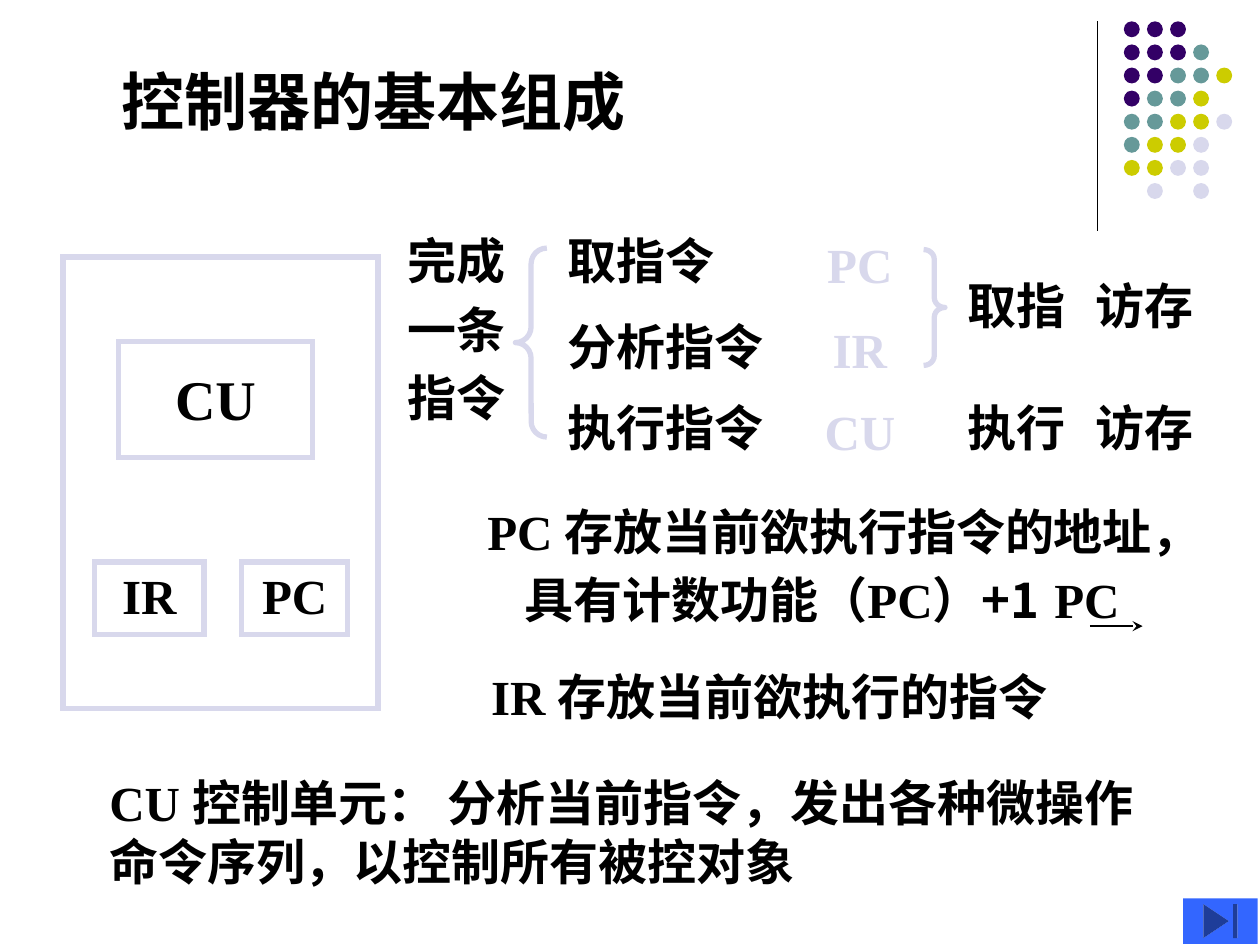
from lxml import etree
from pptx import Presentation
from pptx.dml.color import RGBColor
from pptx.enum.shapes import MSO_CONNECTOR, MSO_SHAPE as Shape
from pptx.enum.text import MSO_ANCHOR, PP_ALIGN as Align
from pptx.oxml.ns import qn
from pptx.util import Pt

COLORS = {
    "ink": "000000", "pale": "D8D8EC", "purple": "330066",
    "teal": "669999", "lime": "CCCC00", "blue": "3366FF",
}
SANS, SERIF = "Noto Sans CJK SC", "Times New Roman"


def rgb(name):
    return RGBColor.from_string(COLORS[name])


def font_for(words):
    """Abbreviations such as PC are serif, all other wording is sans."""
    return SERIF if words[0].isascii() and words[0].isalpha() else SANS


class SlideBuilder:
    size = 28
    frame_width = 3

    def __init__(self, slide):
        self.slide = slide

    def text(self, content, left, top, width, height, *, size=size, color="ink",
             align=Align.LEFT, wrap=True, inset=(7.2, 3.6), indents=(), tab=None):
        """content is a string, or a list of paragraphs made of run lists."""
        paragraphs = [[content]] if isinstance(content, str) else content
        box = self.slide.shapes.add_textbox(Pt(left), Pt(top), Pt(width), Pt(height))
        frame = box.text_frame
        frame.word_wrap = wrap
        frame.vertical_anchor = MSO_ANCHOR.TOP
        frame.margin_left = frame.margin_right = Pt(inset[0])
        frame.margin_top = frame.margin_bottom = Pt(inset[1])
        for index, runs in enumerate(paragraphs):
            paragraph = frame.paragraphs[0] if index == 0 else frame.add_paragraph()
            paragraph.alignment = align
            paragraph.line_spacing = Pt(1.2 * size)
            paragraph.space_before = Pt(0.2 * size if index else 0)
            properties = paragraph._p.get_or_add_pPr()
            if index < len(indents):
                properties.set("marL", "0")
                properties.set("indent", str(int(Pt(indents[index]))))
            if tab:
                stops = etree.SubElement(properties, qn("a:tabLst"))
                etree.SubElement(stops, qn("a:tab"), pos=str(int(Pt(tab))), algn="l")
            for words in runs:
                run = paragraph.add_run()
                run.text = words
                run.font.size = Pt(size)
                run.font.bold = True
                run.font.color.rgb = rgb(color)
                run.font.name = font_for(words)
                etree.SubElement(run._r.get_or_add_rPr(), qn("a:ea"),
                                 typeface=font_for(words))

    def shape(self, kind, left, top, width, height, *, fill=None, line=None, adjust=()):
        item = self.slide.shapes.add_shape(kind, Pt(left), Pt(top), Pt(width), Pt(height))
        item.shadow.inherit = False
        if fill:
            item.fill.solid()
            item.fill.fore_color.rgb = rgb(fill)
        else:
            item.fill.background()
        if line:
            item.line.color.rgb = rgb(line)
            item.line.width = Pt(self.frame_width)
        else:
            item.line.fill.background()
        for index, value in enumerate(adjust):
            item.adjustments[index] = value
        return item

    def frame(self, left, top, width, height):
        """An unfilled rectangle with sharp corners."""
        item = self.shape(Shape.RECTANGLE, left, top, width, height, line="pale")
        etree.SubElement(item.line._get_or_add_ln(), qn("a:miter"), lim="800000")

    def line(self, x1, y1, x2, y2, *, arrow=False):
        rule = self.slide.shapes.add_connector(
            MSO_CONNECTOR.STRAIGHT, Pt(x1), Pt(y1), Pt(x2), Pt(y2))
        rule.line.color.rgb = rgb("ink")
        rule.line.width = Pt(0.75)
        if arrow:
            etree.SubElement(rule.line._get_or_add_ln(), qn("a:tailEnd"), type="stealth")
        etree.SubElement(rule._element.spPr, qn("a:effectLst"))


def main():
    deck = Presentation()
    deck.slide_width, deck.slide_height = Pt(720), Pt(540)
    page = SlideBuilder(deck.slides.add_slide(deck.slide_layouts[6]))

    # Corner ornament: one letter per dot
    page.line(627, 12.2, 627, 131.8)
    dot_colors = {"P": "purple", "T": "teal", "Y": "lime", "L": "pale"}
    dot_rows = ["PPP", "PPPT", "PPTTY", "PTTY", "TTYYL", "TYYL", "YYLL", "-L-L"]
    for row, letters in enumerate(dot_rows):
        for column, letter in enumerate(letters):
            if letter in dot_colors:
                page.shape(Shape.OVAL, 642.2 + 13.2 * column, 12.2 + 13.2 * row,
                           9.1, 9.1, fill=dot_colors[letter])

    # Title
    page.text("控制器的基本组成", 62.6, 32.4, 465.8, 50.4, size=36)

    # Steps of one instruction, with the unit that serves each
    page.text([["完成"], ["一条"], ["指令"]], 225.4, 128.2, 71.3, 121.7,
              align=Align.CENTER)
    page.shape(Shape.LEFT_BRACE, 294.5, 141.8, 18, 108, line="pale", adjust=(0.5, 0.5))
    steps = [("取指令", "PC", 128.2), ("分析指令", "IR", 177.1), ("执行指令", "CU", 223.9)]
    for step, unit, top in steps:
        page.text(step, 317.5, top, 150, 41)
        page.text(unit, 464, top + 2.2, 54.7, 41, color="pale",
                  align=Align.CENTER, wrap=False)

    # Phases and their memory access
    page.shape(Shape.RIGHT_BRACE, 527.8, 142.6, 12.2, 66.2, line="pale",
               adjust=(0.458, 0.5))
    for phase, top in [("取指", 154.1), ("执行", 223.9)]:
        page.text(phase, 545.8, top, 101, 41)
        page.text("访存", 619.2, top, 100, 41)

    # What each unit does
    page.text([["PC ", "存放当前欲执行指令的地址，"],
               ["具有计数功能（", "PC", "）+1\t", "PC"]],
              271.4, 283, 499, 81.4, indents=(0, 21.5), tab=353)
    page.line(622.8, 357.8, 653, 357.8, arrow=True)
    page.text([["IR ", "存放当前欲执行的指令"]], 273.6, 377.3, 403.2, 41)
    page.text([["CU ", "控制单元： 分析当前指令，发出各种微操作命令序列，以控制所有被控对象"]],
              55.4, 437.8, 614.2, 74.9)

    # Controller diagram
    page.frame(36, 146.9, 180, 257.8)
    page.frame(67.7, 195.1, 110.9, 66.2)
    page.text("CU", 70.6, 204.5, 105.1, 45.4, size=32, align=Align.CENTER)
    for register, left, width in [("IR", 54, 62.6), ("PC", 138.2, 60.5)]:
        page.frame(left, 321.1, width, 41.4)
        page.text(register, left, 323.3, width, 33.8, align=Align.CENTER, inset=(0, 0))

    # Button to the last slide
    page.shape(Shape.ACTION_BUTTON_END, 676.1, 513.4, 42.5, 25.9, fill="blue")

    deck.save("out.pptx")


if __name__ == "__main__":
    main()
